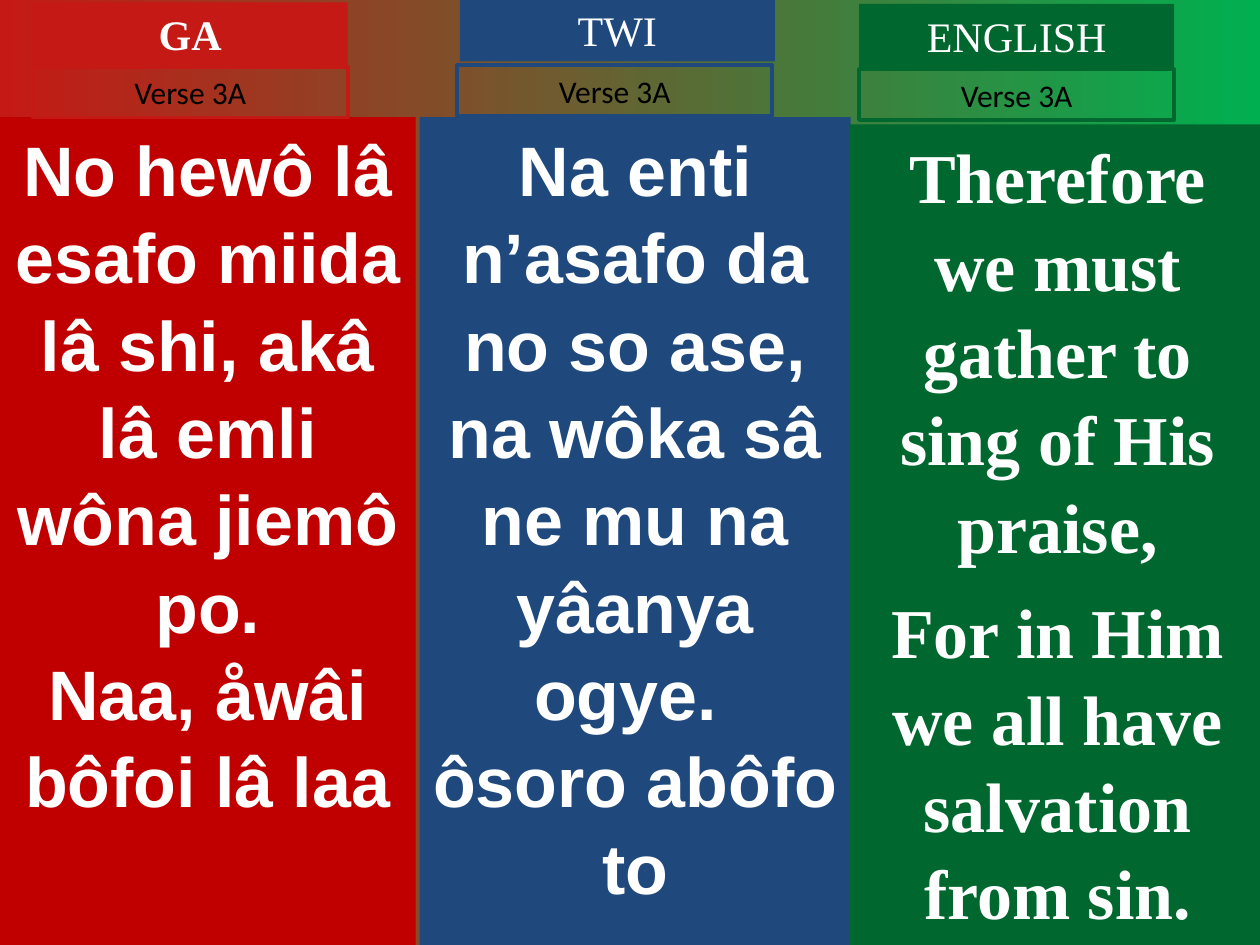
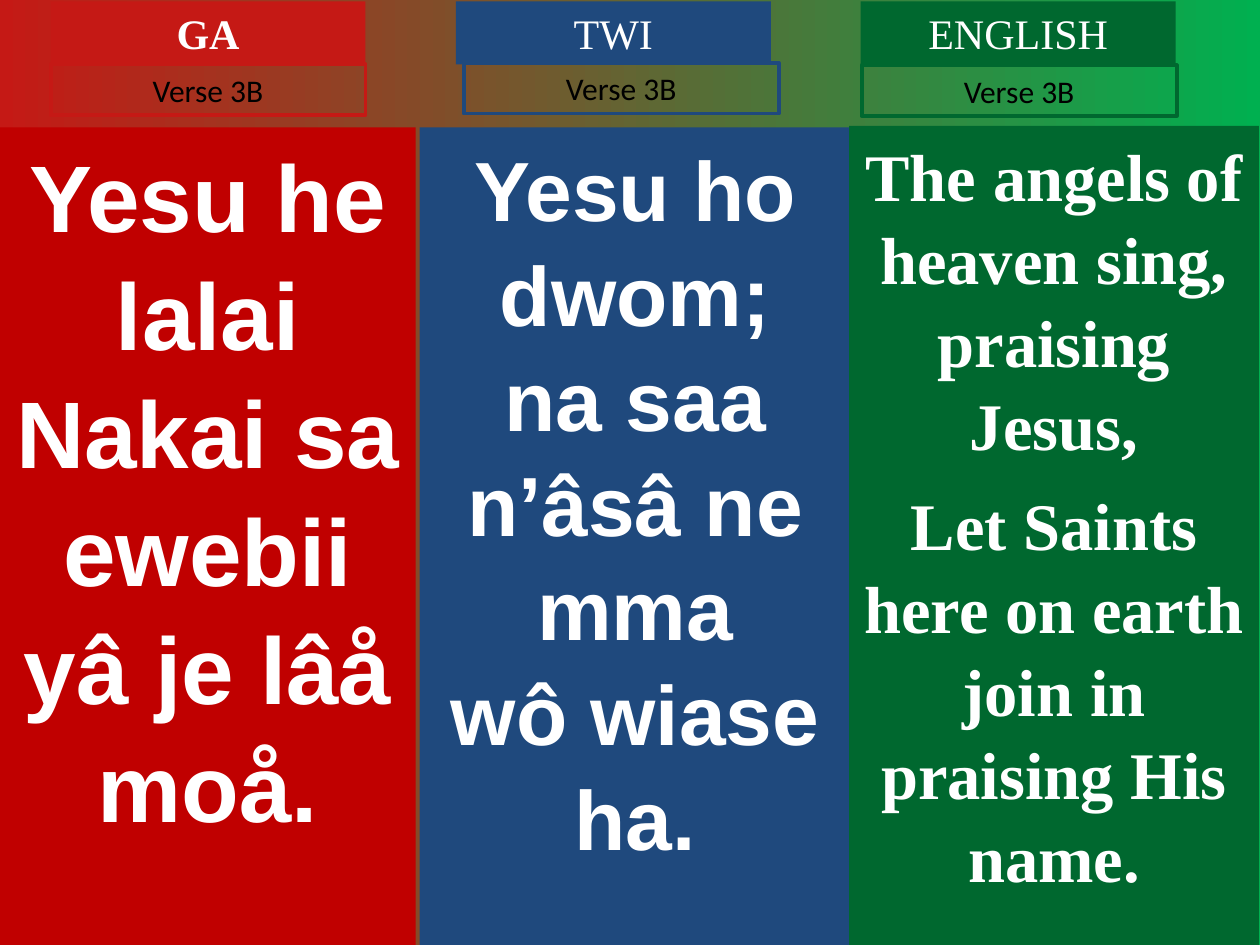
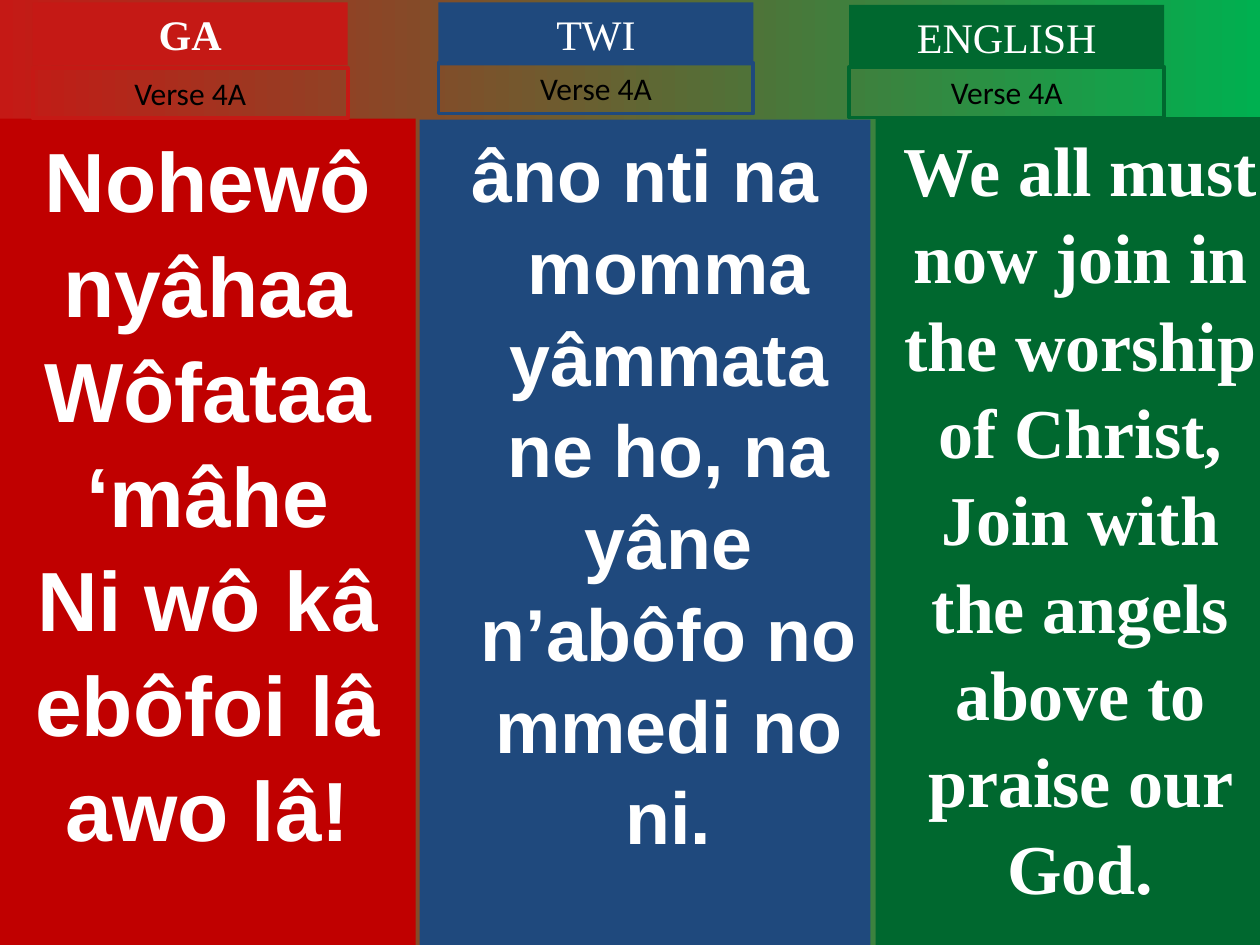
from dataclasses import dataclass

from pptx import Presentation
from pptx.dml.color import RGBColor
from pptx.enum import shapes, text
from pptx.util import Cm, Pt


@dataclass(frozen=True)
class Theme:
    red: str = "C51915"
    deep: str = "C00000"
    blue: str = "1F497D"
    green: str = "00682F"
    glow: str = "00B050"
    white: str = "FFFFFF"
    black: str = "000000"
    sans: str = "Arial"
    serif: str = "Times New Roman"
    plain: str = "Calibri"
    head: int = 24
    verse: int = 18
    edge: float = 2.25
    lead: float = 1.045


T = Theme()
WIDE, HIGH = 25.4, 19.05
TAB_W, HEAD_H, VERSE_H = 6.35, 1.27, 1.02


def add_box(slide, x, y, w, h, fill=None, line=None):
    """Add a filled or outlined rectangle with wrapped text from the top."""
    box = slide.shapes.add_shape(
        shapes.MSO_SHAPE.RECTANGLE, Cm(x), Cm(y), Cm(w), Cm(h))
    box.shadow.inherit = False
    if fill:
        box.fill.solid()
        box.fill.fore_color.rgb = RGBColor.from_string(fill)
    else:
        box.fill.background()
    if line:
        box.line.color.rgb = RGBColor.from_string(line)
        box.line.width = Pt(T.edge)
    else:
        box.line.fill.background()
    box.text_frame.word_wrap = True
    box.text_frame.vertical_anchor = text.MSO_ANCHOR.TOP
    return box


def add_text(box, lines, font, size, color, bold=False, gap=0, lead=1.0):
    """Write centred paragraphs, with a gap before all but the first."""
    frame = box.text_frame
    for i, words in enumerate(lines):
        para = frame.add_paragraph() if i else frame.paragraphs[0]
        para.alignment = text.PP_ALIGN.CENTER
        para.line_spacing = lead
        if i:
            para.space_before = Pt(gap)
        run = para.add_run()
        run.text = words
        run.font.name = font
        run.font.size = Pt(size)
        run.font.bold = bold
        run.font.color.rgb = RGBColor.from_string(color)


# Per language: name, panel colour, tab colour, panel font, bold name
tongues = [
    ("GA", T.deep, T.red, T.sans, True),
    ("TWI", T.blue, T.blue, T.sans, False),
    ("ENGLISH", T.green, T.green, T.serif, False),
]

# Per column: panel (left, top, width), name (left, top),
# verse (left, top), type size, lines
verses = [
    ("Verse 3A", [
        ((0, 2.36, 8.38), (0.66, 0.05), (0.66, 1.35), 40,
         ["No hewô lâ esafo miida lâ shi, akâ lâ emli wôna jiemô po.",
          "Naa, åwâi bôfoi lâ laa"]),
        ((8.46, 2.36, 8.69), (9.27, -0.03), (9.22, 1.32), 40,
         ["Na enti n’asafo da no so ase, na wôka sâ ne mu na yâanya ogye. ",
          "ôsoro abôfo to"]),
        ((17.14, 2.51, 8.36), (17.32, 0.08), (17.32, 1.4), 40,
         ["Therefore we must gather to sing of His praise,",
          "For in Him we all have salvation from sin."]),
    ]),
    ("Verse 3B", [
        ((0, 2.57, 8.38), (1.02, 0.03), (1.02, 1.3), 54,
         ["Yesu he lalai", "Nakai sa ewebii yâ je lâå moå."]),
        ((8.46, 2.57, 8.69), (9.19, 0.03), (9.35, 1.27), 48,
         ["Yesu ho dwom;", "na saa n’âsâ ne mma", "wô wiase ha."]),
        ((17.12, 2.54, 8.26), (17.35, 0.03), (17.37, 1.32), 38,
         ["The angels of heaven sing, praising Jesus,",
          "Let Saints here on earth join in praising His name."]),
    ]),
    ("Verse 4A", [
        ((0, 2.39, 8.38), (0.66, 0.05), (0.66, 1.37), 48,
         ["Nohewô nyâhaa", "Wôfataa ‘mâhe", "Ni wô kâ ebôfoi lâ awo lâ!"]),
        ((8.46, 2.41, 9.09), (8.84, 0.05), (8.84, 1.27), 42,
         ["âno nti na momma yâmmata ne ho, na yâne n’abôfo no mmedi no ni."]),
        ((17.65, 2.36, 8.26), (17.12, 0.1), (17.12, 1.35), 40,
         ["We all must now join in the worship of Christ, "
          "Join with the angels above to praise our God."]),
    ]),
]

deck = Presentation()
deck.slide_width, deck.slide_height = Cm(WIDE), Cm(HIGH)

for label, columns in verses:
    slide = deck.slides.add_slide(deck.slide_layouts[6])
    back = slide.background.fill
    back.gradient()
    back.gradient_angle = 0
    for stop, color in zip(back.gradient_stops, (T.red, T.glow)):
        stop.color.rgb = RGBColor.from_string(color)

    for tongue, column in zip(tongues, columns):
        name, deep, tint, font, bold = tongue
        (x, y, w), head, verse, size, lines = column
        panel = add_box(slide, x, y, w, HIGH - y, fill=deep)
        gap = size / 4 if font == T.serif else 0
        add_text(panel, lines, font, size, T.white, True, gap, T.lead)
        if label == "Verse 4A" and name == "TWI":
            hang = panel.text_frame.paragraphs[0]._p.get_or_add_pPr()
            hang.set("marL", str(Cm(0.95)))
            hang.set("indent", str(-Cm(0.95)))

        title = add_box(slide, *head, TAB_W, HEAD_H, fill=tint)
        add_text(title, [name], T.serif, T.head, T.white, bold)
        tag = add_box(slide, *verse, TAB_W, VERSE_H, line=tint)
        add_text(tag, [label], T.plain, T.verse, T.black)

deck.save("out.pptx")
